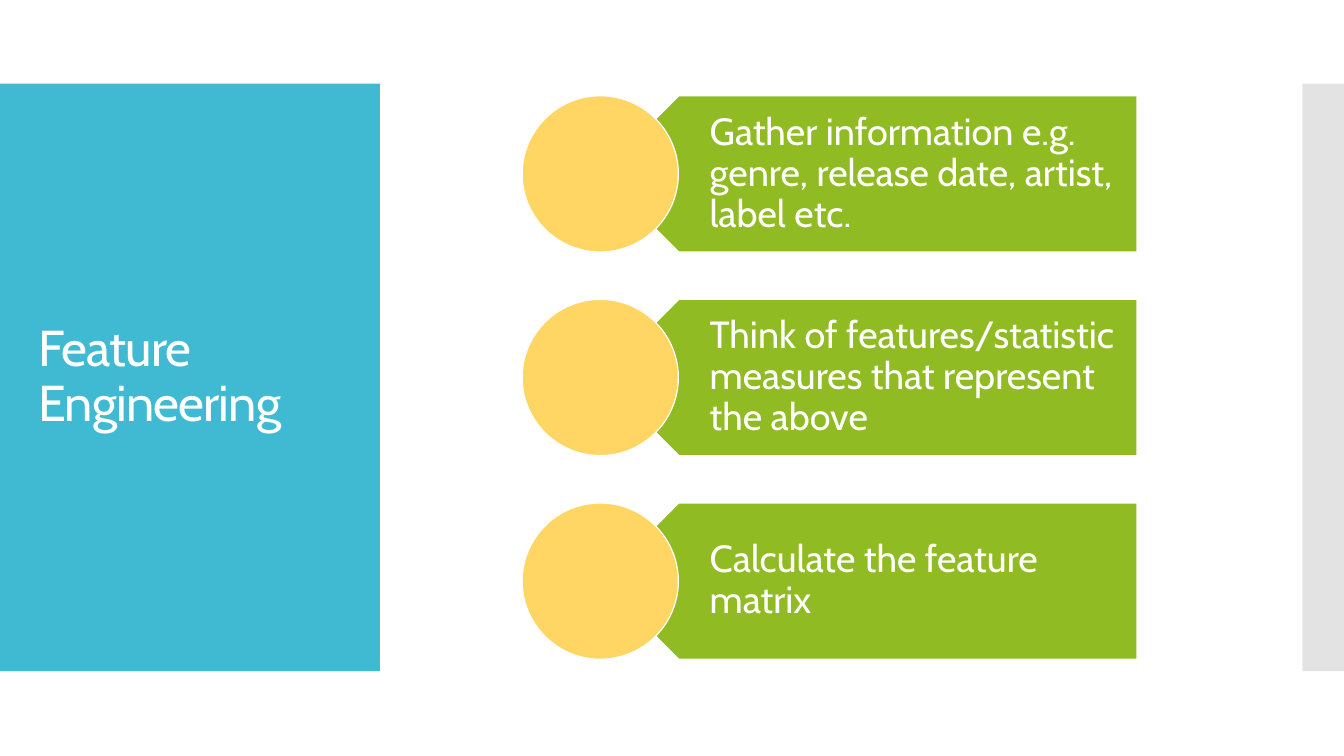
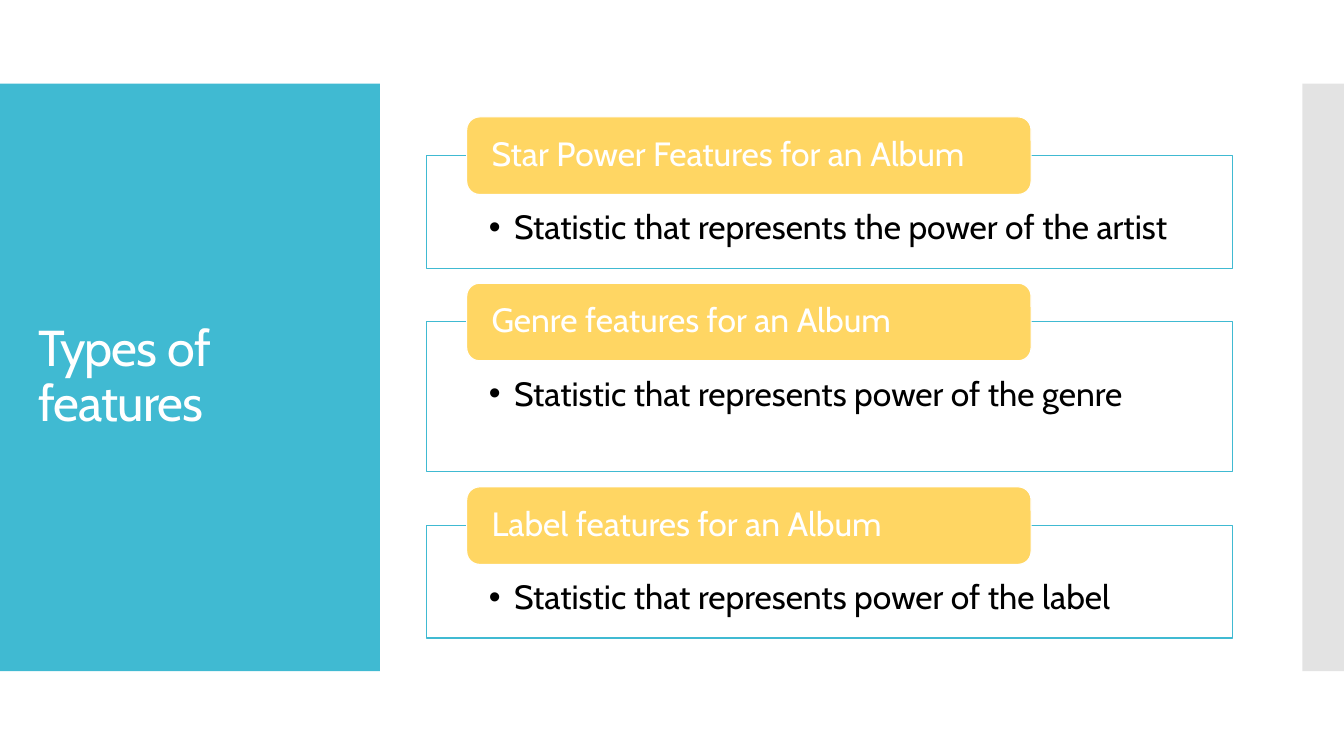
import pptx
import pptx.util
import pptx.dml.color
import pptx.enum.shapes
import pptx.enum.text
import pptx.oxml
import pptx.oxml.ns

# Content
STEPS_TITLE = "Feature Engineering"
STEPS = [
    "Gather information e.g. genre, release date, artist, label etc.",
    "Think of features/statistic measures that represent the above",
    "Calculate the feature matrix",
]
TYPES_TITLE = "Types of features"
TYPES = [  # heading, statistic, box height
    ("Star Power Features for an Album", "Statistic that represents the power of the artist", 112),
    ("Genre features for an Album", "Statistic that represents power of the genre", 149),
    ("Label features for an Album", "Statistic that represents power of the label", 112),
]

# Shared look
PX = 9144  # 100 px to the inch
FONT = "Cabin"
COLORS = {"blue": "40BAD2", "gray": "C8C8C8", "green": "90BB23",
          "yellow": "FFD663", "white": "FFFFFF", "black": "000000"}
OUTLINE = 0.85
SLIDE_W, SLIDE_H = 1333.33, 750
BAND_TOP, BAND_H = 83, 583
SHAPE = pptx.enum.shapes.MSO_SHAPE
ANCHOR = pptx.enum.text.MSO_ANCHOR


def px(*lengths):
    return [round(length * PX) for length in lengths]


def rgb(name):
    return pptx.dml.color.RGBColor.from_string(COLORS[name])


def add_part(slide, preset, box, fill, line=None, alpha=None):
    part = slide.shapes.add_shape(preset, *px(*box))
    part.shadow.inherit = False
    part.fill.solid()
    part.fill.fore_color.rgb = rgb(fill)
    if alpha is not None:
        color = part.element.spPr.find(".//" + pptx.oxml.ns.qn("a:srgbClr"))
        color.append(pptx.oxml.parse_xml(
            f'<a:alpha {pptx.oxml.ns.nsdecls("a")} val="{alpha * 1000}"/>'))
    if line:
        part.line.color.rgb = rgb(line)
        part.line.width = pptx.util.Pt(OUTLINE)
    else:
        part.line.fill.background()
    return part


def write(holder, text, size, color="white", anchor=ANCHOR.MIDDLE,
          insets=(10, 5, 10, 5), spacing=None, bullet_indent=None):
    frame = holder.text_frame
    frame.word_wrap = True
    frame.auto_size = pptx.enum.text.MSO_AUTO_SIZE.NONE
    frame.vertical_anchor = anchor
    (frame.margin_left, frame.margin_top,
     frame.margin_right, frame.margin_bottom) = px(*insets)
    paragraph = frame.paragraphs[0]
    paragraph.alignment = pptx.enum.text.PP_ALIGN.LEFT
    paragraph.line_spacing = 0.9
    run = paragraph.add_run()
    run.text = text
    run.font.name = FONT
    run.font.size = pptx.util.Pt(size)
    run.font.color.rgb = rgb(color)
    if spacing is not None:
        run.font._element.set("spc", str(spacing))
    if bullet_indent is not None:
        properties = paragraph._p.get_or_add_pPr()
        indent = bullet_indent * PX
        properties.set("marL", str(indent))
        properties.set("indent", str(-indent))
        namespace = pptx.oxml.ns.nsdecls("a")
        properties.append(pptx.oxml.parse_xml(f'<a:buFont {namespace} typeface="Arial"/>'))
        properties.append(pptx.oxml.parse_xml(f'<a:buChar {namespace} char="•"/>'))


def add_titled_slide(deck, layout, title):
    slide = deck.slides.add_slide(layout)
    heading = slide.shapes.title
    heading.left, heading.top, heading.width, heading.height = px(28, 123, 322, 503)
    write(heading, title, 36, spacing=-60)
    return slide


def add_bands(slide, layout):
    """Draw the side bands and hand them to the layout that all slides share."""
    bands = [
        add_part(slide, SHAPE.RECTANGLE, (0, BAND_TOP, 377, BAND_H), "blue"),
        add_part(slide, SHAPE.RECTANGLE, (1292, BAND_TOP, SLIDE_W - 1292, BAND_H),
                 "gray", alpha=50),
    ]
    for band in bands:
        layout.shapes.element.insert(2, band.element)


def add_steps(slide):
    first_top, pitch, size = 95, 202, 155
    circle_left, arrow_left, right = 518, 596, 1128
    text_left = 635
    for index, step in enumerate(STEPS):
        top = first_top + index * pitch
        arrow = add_part(slide, SHAPE.PENTAGON,
                         (arrow_left, top, right - arrow_left, size), "green", "white")
        arrow.rotation = 180
        label = slide.shapes.add_textbox(*px(text_left, top, right - text_left, size))
        write(label, step, 27, insets=(69, 11, 21, 11))
        add_part(slide, SHAPE.OVAL, (circle_left, top, size, size), "yellow", "white")


def add_types(slide):
    top, gap, tab_rise = 154, 53, 38
    for heading, statistic, height in TYPES:
        body = add_part(slide, SHAPE.RECTANGLE, (423, top, 800, height),
                        "white", "blue", alpha=90)
        write(body, statistic, 24, color="black", anchor=ANCHOR.TOP,
              insets=(62, 55, 62, 19), bullet_indent=25)
        tab = add_part(slide, SHAPE.ROUNDED_RECTANGLE,
                       (463, top - tab_rise, 560, 77), "yellow", "white")
        write(tab, heading, 24, insets=(21, 0, 21, 0))
        top += height + gap


def main():
    deck = pptx.Presentation()
    deck.slide_width, deck.slide_height = px(SLIDE_W, SLIDE_H)
    layout = deck.slide_layouts[5]

    steps_slide = add_titled_slide(deck, layout, STEPS_TITLE)
    add_bands(steps_slide, layout)
    add_steps(steps_slide)

    types_slide = add_titled_slide(deck, layout, TYPES_TITLE)
    add_types(types_slide)

    deck.save("out.pptx")


if __name__ == "__main__":
    main()
